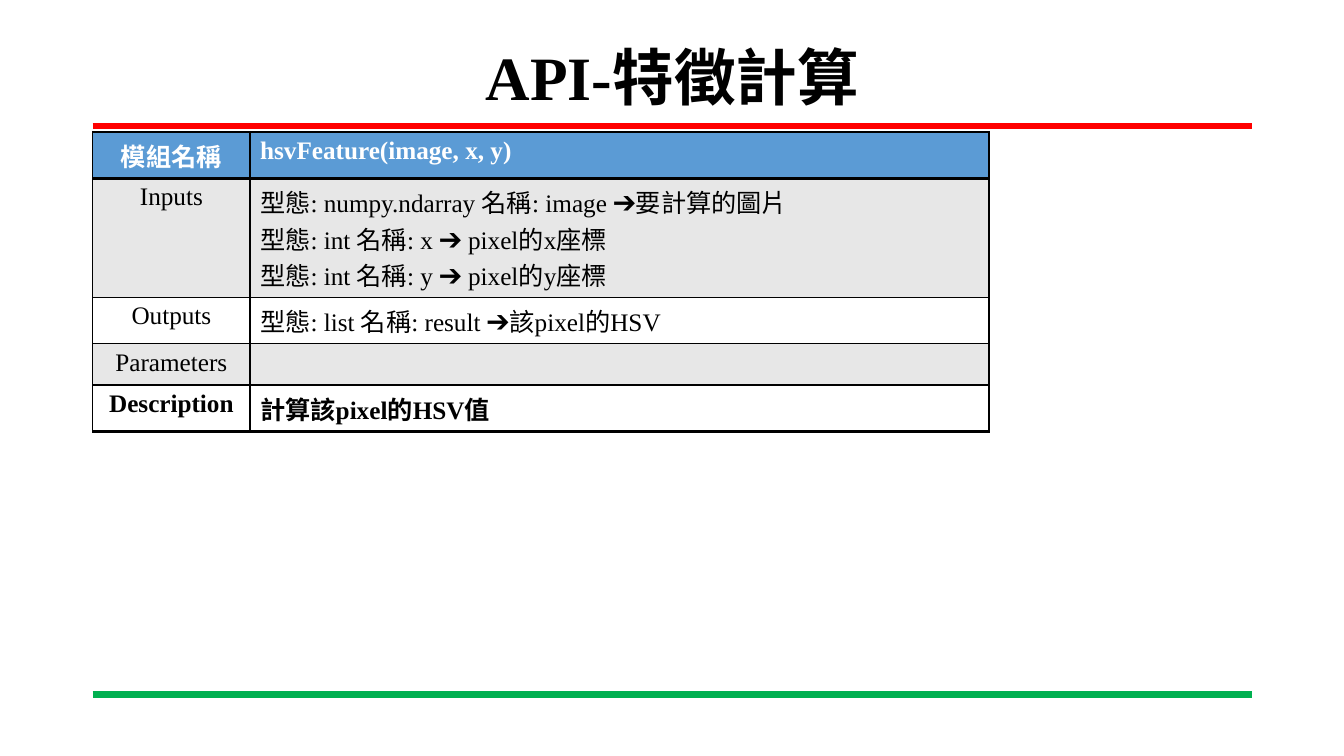
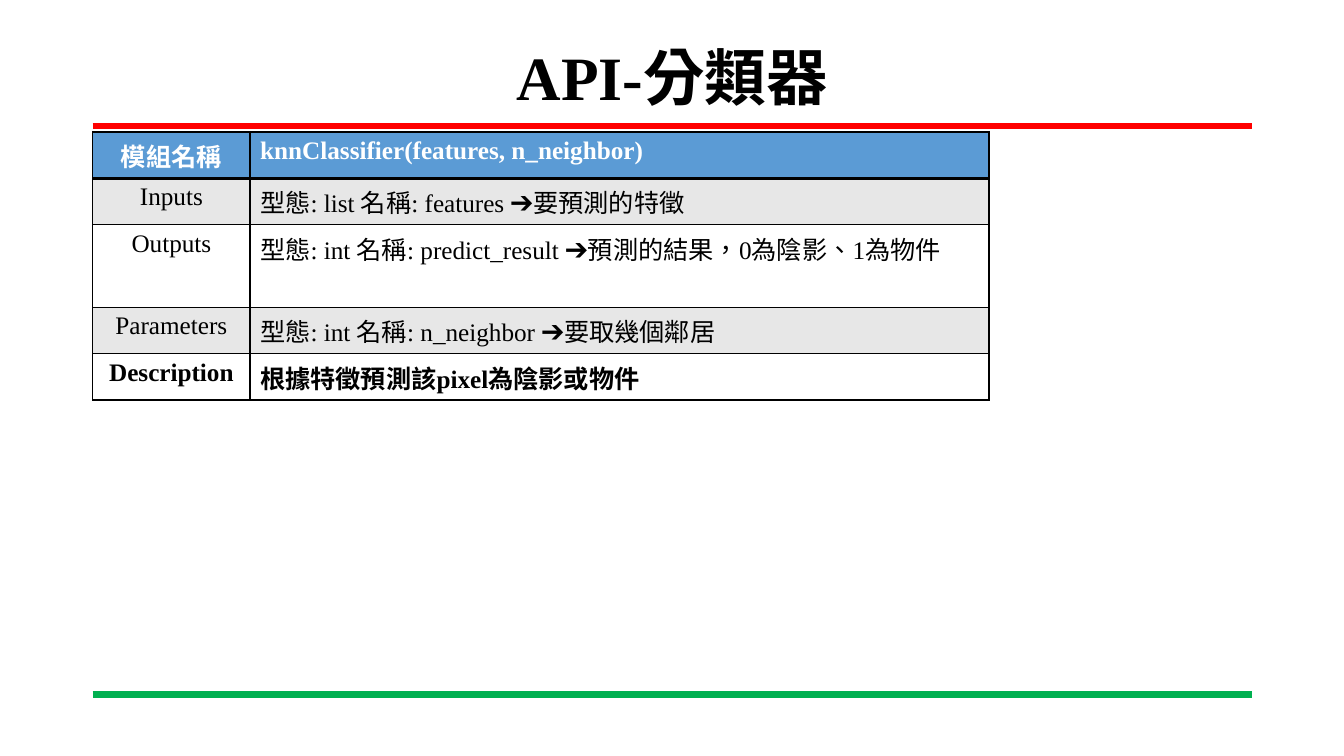
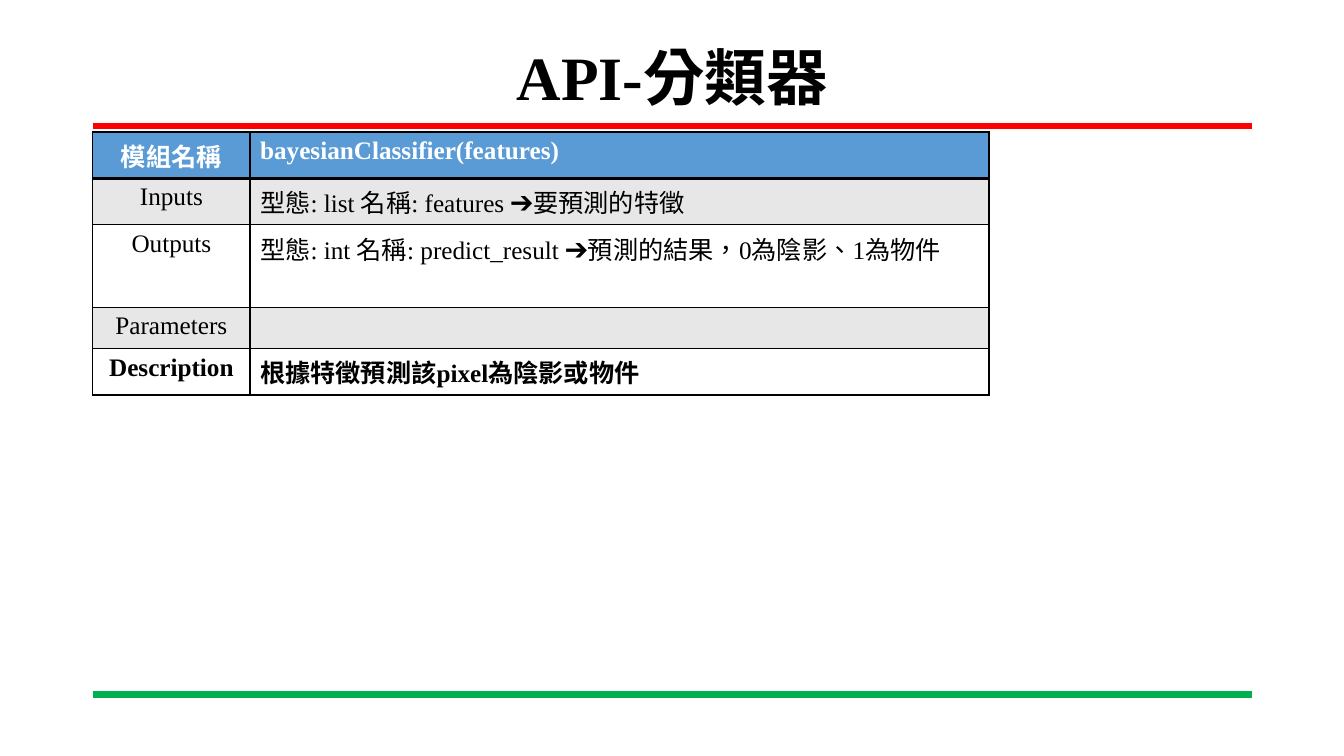
from dataclasses import dataclass

from lxml.etree import SubElement
from pptx import Presentation
from pptx.dml.color import RGBColor
from pptx.enum.lang import MSO_LANGUAGE_ID
from pptx.enum.shapes import MSO_CONNECTOR
from pptx.enum.text import MSO_ANCHOR, PP_ALIGN
from pptx.oxml.ns import qn
from pptx.util import Inches, Pt


@dataclass(frozen=True)
class Theme:
    font: str = "Times New Roman"
    title_size: int = 44
    table_size: int = 18
    ink: str = "000000"
    paper: str = "FFFFFF"
    header: str = "5B9BD5"
    band: str = "E7E7E7"
    top_rule: str = "FF0000"
    bottom_rule: str = "00B050"
    rule_width: float = 4.5
    thin: int = 1
    thick: int = 2


LEFT, RIGHT = 0.92, 12.42
TABLE_TOP = 1.31
LINE_HEIGHT, CELL_PADDING, EMPTY_ROW = 0.36, 0.1, 0.41
COLUMNS = (1.56, 7.33)
CHARS_PER_LINE = 40
LABELS = ("模組名稱", "Inputs", "Outputs", "Parameters", "Description")


def row_height(text):
    """Height that holds every line of a value, wrapped ones included."""
    if not text:
        return EMPTY_ROW
    lines = sum(1 + len(line) // CHARS_PER_LINE for line in text.split("\n"))
    return CELL_PADDING + LINE_HEIGHT * lines


class ApiDeck:
    """Holds the theme, the presentation and the current slide."""

    def __init__(self, theme):
        self.theme = theme
        self.deck = Presentation()
        self.deck.slide_width, self.deck.slide_height = Inches(13.33), Inches(7.5)
        self.slide = None

    def add_page(self, title, values):
        self.slide = self.deck.slides.add_slide(self.deck.slide_layouts[6])
        self.rule(1.25, self.theme.top_rule)
        self.rule(6.89, self.theme.bottom_rule)
        self.title(title)
        self.api_table(values)

    def style(self, paragraph, size, color, bold):
        font = paragraph.font
        font.name, font.size, font.bold = self.theme.font, Pt(size), bold
        font.color.rgb = RGBColor.from_string(color)
        font.language_id = MSO_LANGUAGE_ID.TRADITIONAL_CHINESE

    def rule(self, y, color):
        rule = self.slide.shapes.add_connector(
            MSO_CONNECTOR.STRAIGHT, Inches(LEFT), Inches(y), Inches(RIGHT), Inches(y))
        rule.line.color.rgb = RGBColor.from_string(color)
        rule.line.width = Pt(self.theme.rule_width)
        SubElement(rule._element.spPr, qn("a:effectLst"))

    def title(self, text):
        frame = self.slide.shapes.add_textbox(
            Inches(LEFT), Inches(0.4), Inches(RIGHT - LEFT), Inches(0.79)).text_frame
        frame.word_wrap = True
        frame.vertical_anchor = MSO_ANCHOR.MIDDLE
        heading = frame.paragraphs[0]
        heading.text = text
        heading.alignment = PP_ALIGN.CENTER
        heading.line_spacing = 0.9
        self.style(heading, self.theme.title_size, self.theme.ink, True)

    def borders(self, cell, top, bottom):
        thin = self.theme.thin
        properties = cell._tc.get_or_add_tcPr()
        for side, width in (("L", thin), ("R", thin), ("T", top), ("B", bottom)):
            line = SubElement(properties, qn(f"a:ln{side}"), w=str(Pt(width)))
            fill = SubElement(line, qn("a:solidFill"))
            SubElement(fill, qn("a:srgbClr"), val=self.theme.ink)

    def api_table(self, values):
        theme = self.theme
        last = len(LABELS) - 1
        heights = [row_height(value) for value in values]
        table = self.slide.shapes.add_table(
            len(LABELS), len(COLUMNS), Inches(LEFT), Inches(TABLE_TOP),
            Inches(sum(COLUMNS)), Inches(sum(heights))).table
        for column, width in zip(table.columns, COLUMNS):
            column.width = Inches(width)

        for row, texts in enumerate(zip(LABELS, values)):
            table.rows[row].height = Inches(heights[row])
            # Header row, then alternating bands
            fill = theme.header if row == 0 else (theme.paper, theme.band)[row % 2]
            color = theme.paper if row == 0 else theme.ink
            top = theme.thick if row < 2 else theme.thin
            bottom = theme.thick if row in (0, last) else theme.thin
            for column, text in enumerate(texts):
                cell = table.cell(row, column)
                self.borders(cell, top, bottom)
                cell.fill.solid()
                cell.fill.fore_color.rgb = RGBColor.from_string(fill)
                cell.text = text
                for paragraph in cell.text_frame.paragraphs:
                    paragraph.alignment = PP_ALIGN.LEFT if column else PP_ALIGN.CENTER
                    self.style(paragraph, theme.table_size, color, row in (0, last))


# Content shared by both classifiers
FEATURES = "型態: list 名稱: features ➔要預測的特徵"
PREDICTION = "型態: int 名稱: predict_result ➔預測的結果，0為陰影、1為物件"
PURPOSE = "根據特徵預測該pixel為陰影或物件"

# Title, then one value for each label
PAGES = (
    ("API-特徵計算", (
        "hsvFeature(image, x, y)",
        "型態: numpy.ndarray 名稱: image ➔要計算的圖片\n"
        "型態: int 名稱: x ➔ pixel的x座標\n"
        "型態: int 名稱: y ➔ pixel的y座標",
        "型態: list 名稱: result ➔該pixel的HSV",
        "",
        "計算該pixel的HSV值")),
    ("API-分類器", (
        "knnClassifier(features, n_neighbor)", FEATURES, PREDICTION,
        "型態: int 名稱: n_neighbor ➔要取幾個鄰居", PURPOSE)),
    ("API-分類器", (
        "bayesianClassifier(features)", FEATURES, PREDICTION, "", PURPOSE)),
)


def main():
    api = ApiDeck(Theme())
    for title, values in PAGES:
        api.add_page(title, values)
    api.deck.save("out.pptx")


if __name__ == "__main__":
    main()
